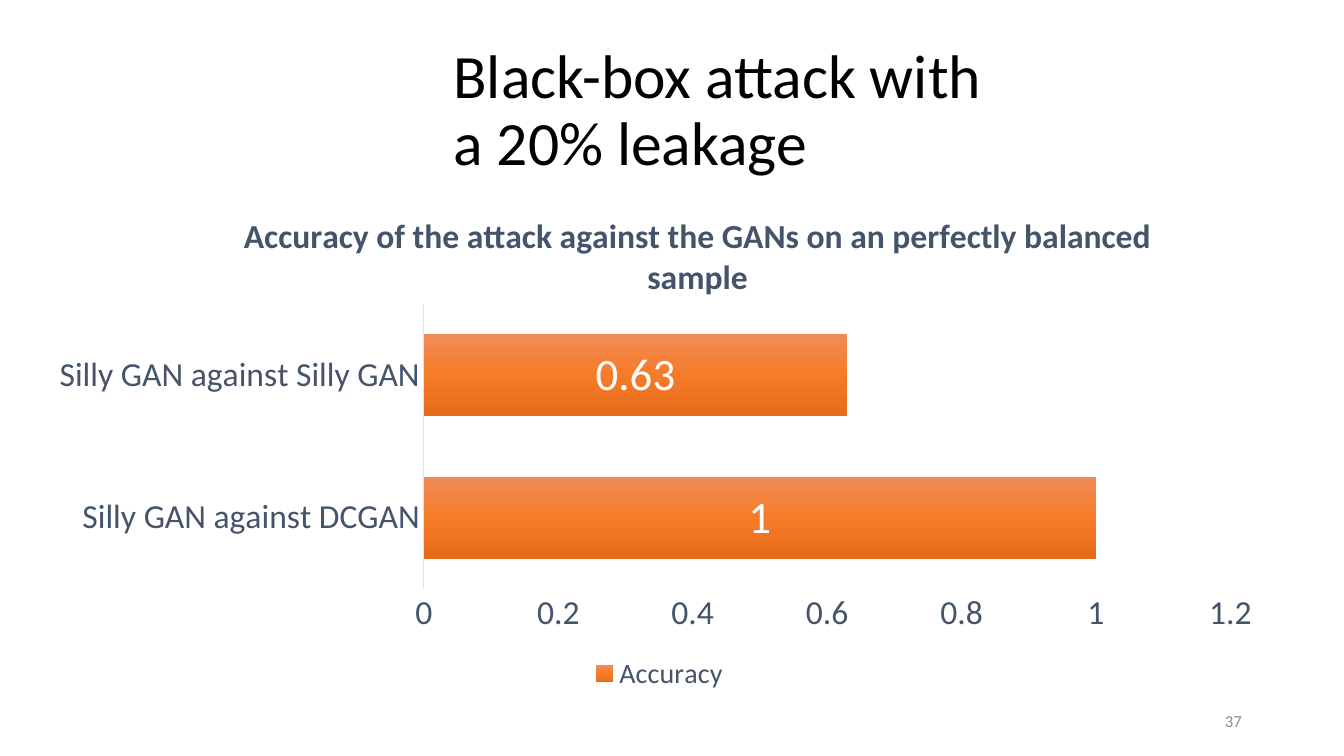
"""Build the slide on the accuracy of a black-box attack with a 20% leakage."""
from dataclasses import dataclass

import lxml.etree
import pptx
import pptx.chart.data
import pptx.dml.color
import pptx.enum.chart
import pptx.enum.text
import pptx.oxml
import pptx.oxml.ns
import pptx.util
from pptx.util import Cm, Pt

RGB = pptx.dml.color.RGBColor
BLACK = RGB(0x00, 0x00, 0x00)
WHITE = RGB(0xFF, 0xFF, 0xFF)
GREY = RGB(0x8C, 0x8C, 0x8C)
SLATE = RGB(0x44, 0x54, 0x6A)
PALE = RGB(0xE0, 0xE5, 0xEB)
BAR_STOPS = {
    0: RGB(0xF1, 0x8C, 0x57),
    50: RGB(0xF6, 0x7B, 0x28),
    100: RGB(0xE5, 0x6C, 0x19),
}
ACCURACY = {"Silly GAN against DCGAN": 1, "Silly GAN against Silly GAN": 0.63}
CHART_TITLE = "Accuracy of the attack against the GANs on an perfectly balanced sample"
ALIGN = pptx.enum.text.PP_ALIGN
ANCHOR = pptx.enum.text.MSO_ANCHOR
XL = pptx.enum.chart


@dataclass
class Label:
    text: str
    left: float
    top: float
    width: float
    height: float
    size: float
    color: RGB
    align: ALIGN = ALIGN.LEFT
    anchor: ANCHOR = ANCHOR.TOP
    spacing: float = 1.0


LABELS = [
    Label("Black-box attack with\va 20% leakage", 11.18, 1.02, 20.35, 3.68, 44, BLACK, spacing=0.9),
    Label("37", 23.93, 17.65, 7.62, 1.02, 12, GREY, ALIGN.RIGHT, ANCHOR.MIDDLE),
]


def assign(target: object, values: dict) -> None:
    for name, value in values.items():
        setattr(target, name, value)


def style_font(font, size: float, color: RGB, bold: bool = False) -> None:
    assign(font, {"name": "Calibri", "size": Pt(size), "bold": bold})
    font.color.rgb = color


def add_label(s, label: Label) -> None:
    box = map(Cm, (label.left, label.top, label.width, label.height))
    tf = s.shapes.add_textbox(*box).text_frame
    assign(tf, {"word_wrap": True, "vertical_anchor": label.anchor})
    p = tf.paragraphs[0]
    p.text = label.text
    assign(p, {"alignment": label.align, "line_spacing": label.spacing})
    for r in p.runs:
        style_font(r.font, label.size, label.color)


def place(parent, index: int, **fractions: float) -> None:
    qn = pptx.oxml.ns.qn
    for old in parent.findall(qn("c:layout")):
        parent.remove(old)
    layout = lxml.etree.Element(qn("c:layout"))
    manual = lxml.etree.SubElement(layout, qn("c:manualLayout"))
    if "w" in fractions:
        lxml.etree.SubElement(manual, qn("c:layoutTarget")).set("val", "inner")
    for axis in "xy":
        lxml.etree.SubElement(manual, qn(f"c:{axis}Mode")).set("val", "edge")
    for name, value in fractions.items():
        lxml.etree.SubElement(manual, qn(f"c:{name}")).set("val", str(value))
    parent.insert(index, layout)


def fill_gradient(series, stops: dict) -> None:
    stop_xml = "".join(
        f'<a:gs pos="{pos * 1000}"><a:srgbClr val="{color}"/></a:gs>'
        for pos, color in stops.items()
    )
    gradient = pptx.oxml.parse_xml(
        f'<a:gradFill {pptx.oxml.ns.nsdecls("a")}><a:gsLst>{stop_xml}</a:gsLst>'
        '<a:lin ang="5400000" scaled="0"/></a:gradFill>'
    )
    series.format.fill.background()
    sp_pr = series.format.fill._xPr
    sp_pr.replace(sp_pr.find(pptx.oxml.ns.qn("a:noFill")), gradient)


def add_accuracy_chart(s) -> None:
    data = pptx.chart.data.CategoryChartData()
    data.categories = list(ACCURACY)
    data.add_series("Accuracy", list(ACCURACY.values()))
    box = map(Cm, (0.99, 4.7, 31.27, 12.85))
    chart = s.shapes.add_chart(XL.XL_CHART_TYPE.BAR_STACKED, *box, data).chart
    style_font(chart.font, 10, BLACK)

    chart.has_title = True
    p = chart.chart_title.text_frame.paragraphs[0]
    p.text = CHART_TITLE
    style_font(p.runs[0].font, 24, SLATE, True)
    place(chart.chart_title._element, 1, x=0.16, y=0.04)
    place(chart._chartSpace.chart.plotArea, 0, x=0.31, y=0.23, w=0.65, h=0.56)

    for axis in (chart.category_axis, chart.value_axis):
        assign(axis, {
            "has_major_gridlines": False,
            "major_tick_mark": XL.XL_TICK_MARK.NONE,
            "minor_tick_mark": XL.XL_TICK_MARK.NONE,
        })
        style_font(axis.tick_labels.font, 24, SLATE)
    assign(chart.value_axis, {"minimum_scale": 0, "maximum_scale": 1.2, "major_unit": 0.2})
    chart.value_axis.format.line.fill.background()
    line = chart.category_axis.format.line
    line.color.rgb = PALE
    line.width = Pt(0.75)

    chart.has_legend = True
    assign(chart.legend, {"position": XL.XL_LEGEND_POSITION.BOTTOM, "include_in_layout": False})
    style_font(chart.legend.font, 20, SLATE)

    plot = chart.plots[0]
    assign(plot, {"gap_width": 75, "overlap": 100, "vary_by_categories": False})
    fill_gradient(plot.series[0], BAR_STOPS)
    labels = plot.series[0].data_labels
    assign(labels, {"show_value": True, "position": XL.XL_LABEL_POSITION.CENTER})
    style_font(labels.font, 32, WHITE)


def main() -> None:
    prs = pptx.Presentation()
    assign(prs, {"slide_width": Cm(33.87), "slide_height": Cm(19.05)})
    s = prs.slides.add_slide(prs.slide_layouts[6])
    add_accuracy_chart(s)
    for label in LABELS:
        add_label(s, label)
    prs.save("out.pptx")


if __name__ == "__main__":
    main()
